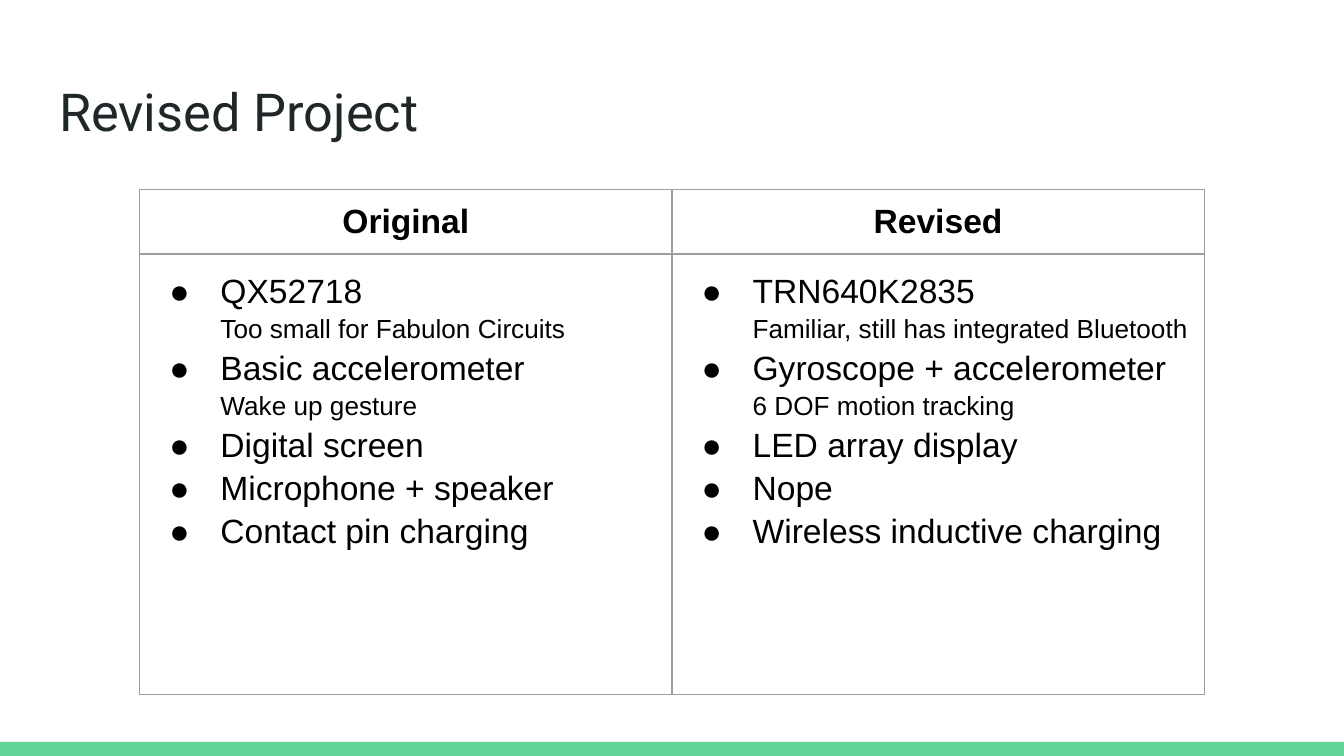
from dataclasses import dataclass

from lxml.etree import SubElement
from pptx import Presentation
from pptx.dml.color import RGBColor
from pptx.enum.shapes import MSO_SHAPE
from pptx.enum.text import MSO_ANCHOR, MSO_AUTO_SIZE, PP_ALIGN
from pptx.oxml import parse_xml
from pptx.oxml.ns import nsdecls, qn
from pptx.util import Inches, Pt


@dataclass(frozen=True)
class Theme:
    title_font: str = "Roboto"
    body_font: str = "Arial"
    title_color: str = "202729"
    text_color: str = "000000"
    border_color: str = "9E9E9E"
    accent: str = "63D297"
    title_size: int = 28
    item_size: int = 18
    detail_size: int = 14
    border_width: float = 0.75


THEME = Theme()
WIDTH = Inches(10)
HEIGHT = WIDTH * 9 // 16
INSET = Inches(0.1)
COLUMN_WIDTH = Inches(3.96)
ROW_HEIGHTS = Inches(0.48), Inches(3.28)

# Each column holds (item, detail) pairs; an empty detail adds no line
COLUMNS = {
    "Original": [
        ("QX52718", "Too small for Fabulon Circuits"),
        ("Basic accelerometer", "Wake up gesture"),
        ("Digital screen", ""),
        ("Microphone + speaker", ""),
        ("Contact pin charging", ""),
    ],
    "Revised": [
        ("TRN640K2835", "Familiar, still has integrated Bluetooth"),
        ("Gyroscope + accelerometer", "6 DOF motion tracking"),
        ("LED array display", ""),
        ("Nope", ""),
        ("Wireless inductive charging", ""),
    ],
}


def style_font(para, name, size, color, bold=False):
    para.font.name = name
    para.font.size = Pt(size)
    para.font.bold = bold
    para.font.color.rgb = RGBColor.from_string(color)


def set_insets(target):
    target.margin_left = target.margin_right = INSET
    target.margin_top = target.margin_bottom = INSET


def add_footer_band(page):
    top = Inches(5.52)
    band = page.shapes.add_shape(
        MSO_SHAPE.RECTANGLE, 0, top, WIDTH, HEIGHT - top)
    band.shadow.inherit = False
    band.fill.solid()
    band.fill.fore_color.rgb = RGBColor.from_string(THEME.accent)
    band.line.fill.background()


def set_title(page, text):
    title = page.shapes.title
    title.left, title.top = Inches(0.34), Inches(0.49)
    title.width, title.height = WIDTH - 2 * title.left, Inches(0.63)
    frame = title.text_frame
    frame.text = text
    frame.word_wrap = True
    frame.auto_size = MSO_AUTO_SIZE.NONE
    frame.vertical_anchor = MSO_ANCHOR.TOP
    set_insets(frame)
    para = frame.paragraphs[0]
    para.alignment = PP_ALIGN.LEFT
    style_font(para, THEME.title_font, THEME.title_size, THEME.title_color)


def format_cell(cell):
    set_insets(cell)
    cell.vertical_anchor = MSO_ANCHOR.TOP
    cell.fill.background()
    properties = cell._tc.get_or_add_tcPr()
    for index, side in enumerate("LRTB"):
        properties.insert(index, parse_xml(
            f'<a:ln{side} {nsdecls("a")} w="{Pt(THEME.border_width)}">'
            f'<a:solidFill><a:srgbClr val="{THEME.border_color}"/></a:solidFill>'
            f'</a:ln{side}>'))


def fill_heading(cell, text):
    cell.text = text
    para = cell.text_frame.paragraphs[0]
    para.alignment = PP_ALIGN.CENTER
    style_font(para, THEME.body_font, THEME.item_size, THEME.text_color, bold=True)


def format_line(para, text, size, bulleted):
    para.text = text
    para.line_spacing = 1.15
    style_font(para, THEME.body_font, size, THEME.text_color)
    properties = para._p.get_or_add_pPr()
    properties.set("marL", str(Inches(0.5)))
    properties.set("indent", str(-Inches(0.38) if bulleted else 0))
    if bulleted:
        color = SubElement(properties, qn("a:buClr"))
        SubElement(color, qn("a:srgbClr"), val=THEME.text_color)
        SubElement(properties, qn("a:buSzPts"), val=str(size * 100))
        SubElement(properties, qn("a:buFont"), typeface=THEME.body_font)
        SubElement(properties, qn("a:buChar"), char="●")
    else:
        SubElement(properties, qn("a:buNone"))
    # Paragraph font defaults must follow the bullet
    properties.append(properties.find(qn("a:defRPr")))


def fill_list(cell, items):
    lines = []
    for item, detail in items:
        lines.append((item, THEME.item_size, True))
        if detail:
            lines.append((detail, THEME.detail_size, False))
    frame = cell.text_frame
    for index, line in enumerate(lines):
        para = frame.add_paragraph() if index else frame.paragraphs[0]
        format_line(para, *line)


def add_comparison(page, columns):
    table_width = COLUMN_WIDTH * len(columns)
    table = page.shapes.add_table(
        len(ROW_HEIGHTS), len(columns), (WIDTH - table_width) // 2,
        Inches(1.41), table_width, sum(ROW_HEIGHTS)).table
    table.first_row = table.horz_banding = False
    for row, height in zip(table.rows, ROW_HEIGHTS):
        row.height = height
    for index, (heading, items) in enumerate(columns.items()):
        table.columns[index].width = COLUMN_WIDTH
        fill_heading(table.cell(0, index), heading)
        fill_list(table.cell(1, index), items)
    for cell in table.iter_cells():
        format_cell(cell)


def main():
    deck = Presentation()
    deck.slide_width, deck.slide_height = WIDTH, HEIGHT
    page = deck.slides.add_slide(deck.slide_layouts.get_by_name("Title Only"))
    add_footer_band(page)
    set_title(page, "Revised Project")
    add_comparison(page, COLUMNS)
    deck.save("out.pptx")


if __name__ == "__main__":
    main()
